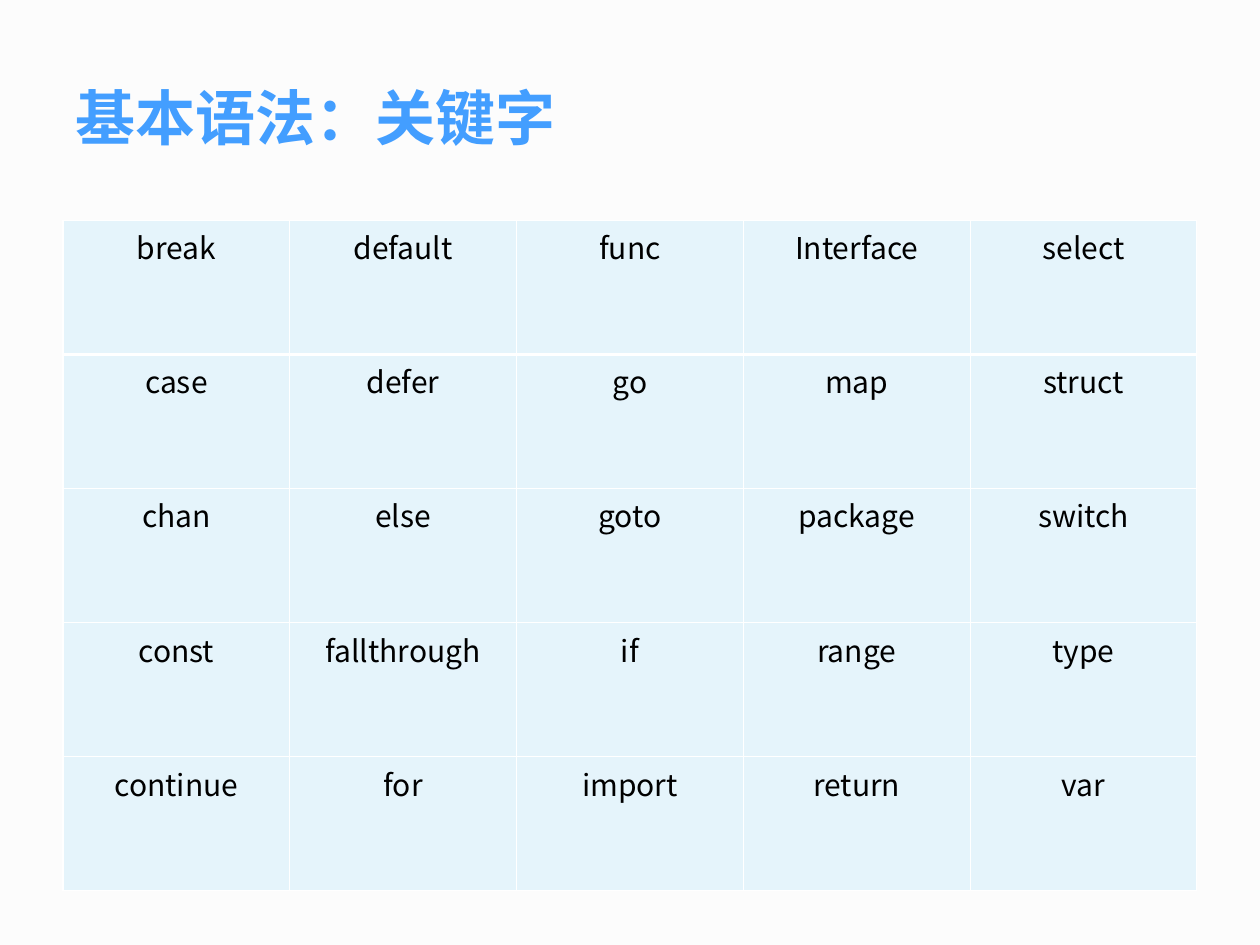
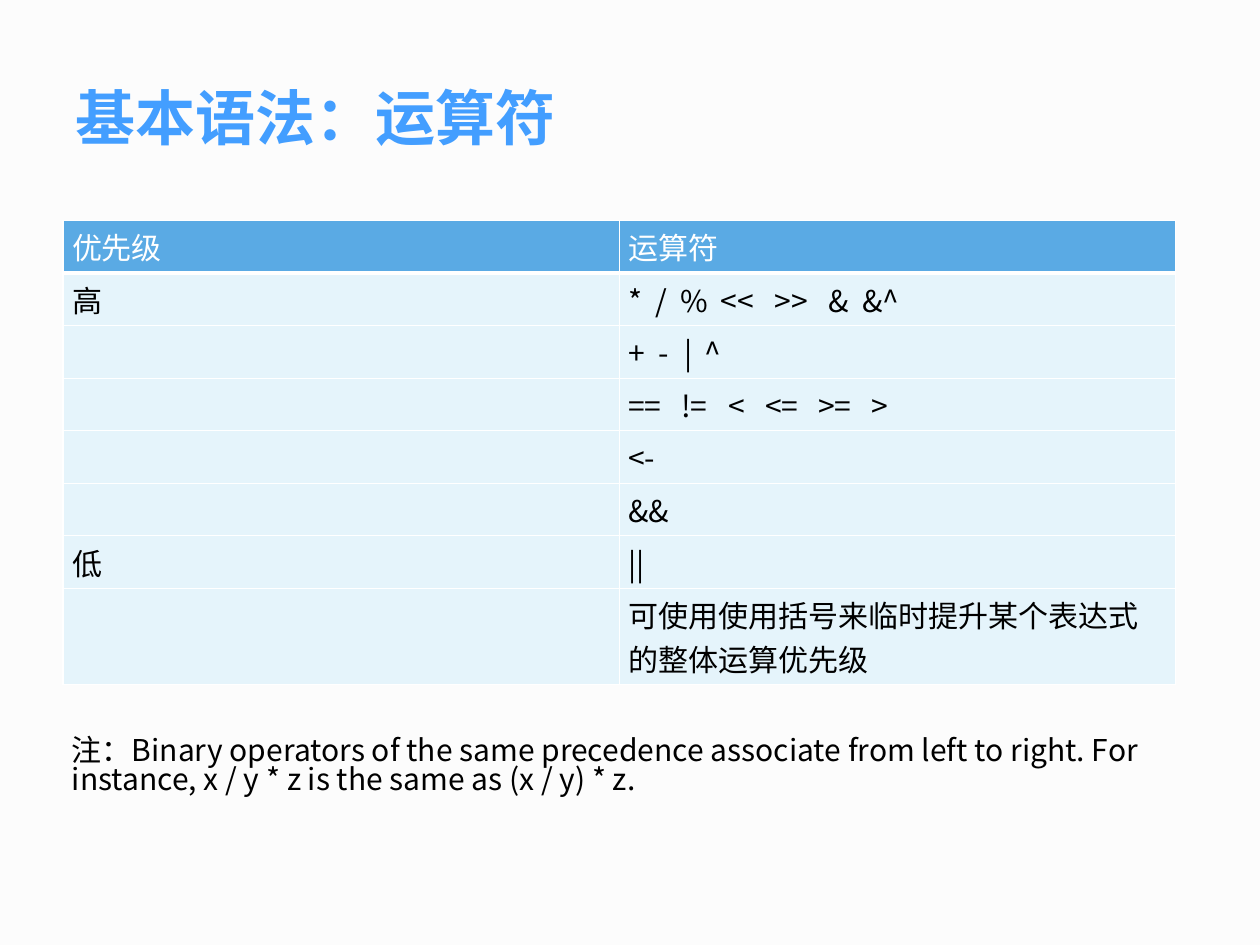
"""Builds two slides on basic syntax: a keyword grid and an operator precedence table."""
from dataclasses import dataclass

from lxml import etree
from pptx import Presentation
from pptx.dml.color import RGBColor
from pptx.enum.text import MSO_ANCHOR, PP_ALIGN
from pptx.oxml.ns import qn
from pptx.util import Inches, Pt

LEFT, CENTER = PP_ALIGN.LEFT, PP_ALIGN.CENTER
MIDDLE = MSO_ANCHOR.MIDDLE
FONT = "Noto Sans CJK SC"
BACKGROUND, TITLE_BLUE, HEADER_BLUE = "FCFCFC", "439EFF", "5AAAE4"
CELL_BLUE, WHITE, BLACK = "E5F4FB", "FFFFFF", "000000"
MARGIN, TABLE_TOP = 0.7, 2.45
TITLE_ONLY = 5

KEYWORDS = [
    ["break", "default", "func", "Interface", "select"],
    ["case", "defer", "go", "map", "struct"],
    ["chan", "else", "goto", "package", "switch"],
    ["const", "fallthrough", "if", "range", "type"],
    ["continue", "for", "import", "return", "var"],
]
PRECEDENCE = [
    ["优先级", "运算符"],
    ["高", "*\t/\t%\t<<\t>>\t&\t&^"],
    ["", "+\t-\t|\t^"],
    ["", "==\t!=\t<\t<=\t>=\t>"],
    ["", "<-"],
    ["", "&&"],
    ["低", "||"],
    ["", "可使用使用括号来临时提升某个表达式的整体运算优先级"],
]
OPERATOR_TABS = {
    1: [0.3, 0.58, 1.03, 1.63, 2.22, 2.6],
    2: [0.34, 0.62, 0.85],
    3: [0.59, 1.11, 1.52, 2.11, 2.7],
}
NOTE = ("注：Binary operators of the same precedence associate from left to right. "
        "For instance, x / y * z is the same as (x / y) * z.")


@dataclass
class Grid:
    rows: list[list[str]]
    column_width: float
    row_heights: list[float]
    align: PP_ALIGN
    header_fill: str
    header_color: str
    tabs: dict[int, list[float]]


def rgb(value: str) -> RGBColor:
    return RGBColor.from_string(value)


def style(paragraph, size: float, color: str, align: PP_ALIGN = LEFT, bold: bool = False) -> None:
    paragraph.alignment = align
    font = paragraph.font
    font.size, font.name, font.bold = Pt(size), FONT, bold
    font.color.rgb = rgb(color)
    defaults = paragraph._p.pPr.find(qn("a:defRPr"))
    etree.SubElement(defaults, qn("a:ea"), typeface=FONT)


def set_tabs(paragraph, stops: list[float]) -> None:
    properties = paragraph._p.pPr
    tab_list = etree.Element(qn("a:tabLst"))
    for stop in stops:
        etree.SubElement(tab_list, qn("a:tab"), pos=str(Inches(stop)), algn="l")
    properties.find(qn("a:defRPr")).addprevious(tab_list)


def set_borders(cell, widths: dict[str, float]) -> None:
    properties = cell._tc.get_or_add_tcPr()
    for index, (side, width) in enumerate(widths.items()):
        line = etree.Element(qn(f"a:ln{side}"), w=str(Pt(width)))
        fill = etree.SubElement(line, qn("a:solidFill"))
        etree.SubElement(fill, qn("a:srgbClr"), val=WHITE)
        properties.insert(index, line)


def add_titled_slide(prs, heading: str):
    slide = prs.slides.add_slide(prs.slide_layouts[TITLE_ONLY])
    title = slide.shapes.title
    title.left, title.top = Inches(MARGIN), Inches(0.42)
    title.width, title.height = Inches(12.6), Inches(1.75)
    frame = title.text_frame
    frame.margin_left = frame.margin_right = Inches(0.14)
    frame.margin_top = frame.margin_bottom = Inches(0.07)
    frame.vertical_anchor = MIDDLE
    frame.text = heading
    style(frame.paragraphs[0], 48, TITLE_BLUE, bold=True)
    return slide


def add_grid(slide, grid: Grid) -> None:
    columns = len(grid.rows[0])
    table = slide.shapes.add_table(
        len(grid.rows), columns, Inches(MARGIN), Inches(TABLE_TOP),
        Inches(grid.column_width * columns), Inches(sum(grid.row_heights))).table
    table.first_row = table.horz_banding = False
    for column in table.columns:
        column.width = Inches(grid.column_width)
    for r, (texts, height) in enumerate(zip(grid.rows, grid.row_heights)):
        table.rows[r].height = Inches(height)
        for c, text in enumerate(texts):
            cell = table.cell(r, c)
            cell.fill.solid()
            cell.fill.fore_color.rgb = rgb(CELL_BLUE if r else grid.header_fill)
            set_borders(cell, {"L": 1, "R": 1, "T": 3 if r == 1 else 1, "B": 1 if r else 3})
            if text:
                cell.text = text
                paragraph = cell.text_frame.paragraphs[0]
                style(paragraph, 24, BLACK if r else grid.header_color, grid.align)
                if "\t" in text:
                    set_tabs(paragraph, grid.tabs[r])


def add_note(slide, text: str) -> None:
    note = slide.shapes.add_textbox(Inches(MARGIN), Inches(7.74), Inches(12.36), Inches(2.15))
    frame = note.text_frame
    frame.word_wrap = True
    frame.margin_top = Inches(0.45)
    frame.text = text
    paragraph = frame.paragraphs[0]
    paragraph.line_spacing = 0.83
    style(paragraph, 24, BLACK)


def main() -> None:
    prs = Presentation()
    prs.slide_width, prs.slide_height = Inches(14), Inches(10.5)
    background = prs.slide_master.background.fill
    background.solid()
    background.fore_color.rgb = rgb(BACKGROUND)

    keywords = add_titled_slide(prs, "基本语法：关键字")
    add_grid(keywords, Grid(KEYWORDS, 2.52, [1.49] * 5, CENTER, CELL_BLUE, BLACK, {}))

    operators = add_titled_slide(prs, "基本语法：运算符")
    add_grid(operators, Grid(PRECEDENCE, 6.18, [0.47] + [0.54] * 6 + [0.97],
                             LEFT, HEADER_BLUE, WHITE, OPERATOR_TABS))
    add_note(operators, NOTE)
    prs.save("out.pptx")


if __name__ == "__main__":
    main()
